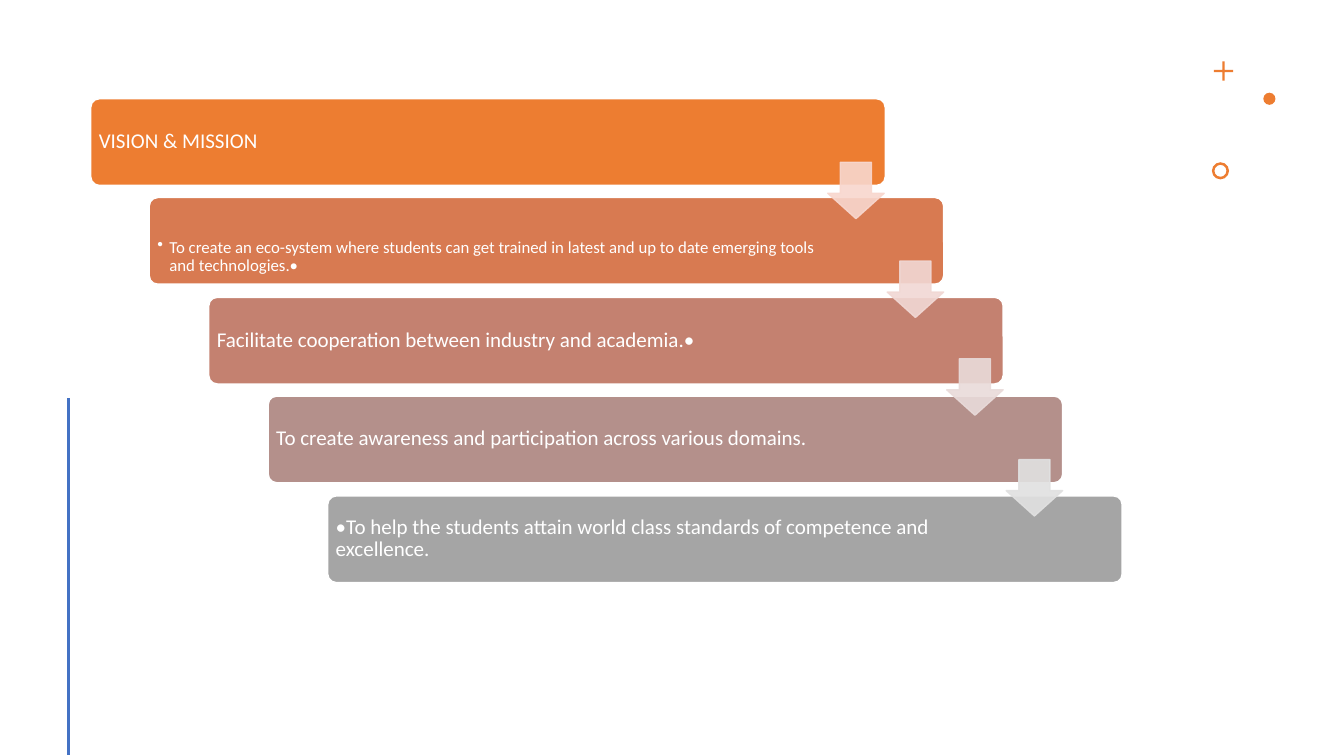
from lxml.etree import SubElement
from pptx import Presentation
from pptx.dml.color import RGBColor as RGB
from pptx.enum.shapes import MSO_CONNECTOR as LINK, MSO_SHAPE as KIND
from pptx.enum.text import MSO_ANCHOR as ANCHOR, MSO_AUTO_SIZE as AUTO, PP_ALIGN as ALIGN
from pptx.oxml.ns import qn
from pptx.util import Emu, Pt

SCALE = 9144
FONT = "Calibri"
COLORS = {"white": "FFFFFF", "accent": "ED7D31", "rule": "4472C4"}
TITLE = "VISION & MISSION"
FILLS = ["ED7D31", "D87A51", "C48170", "B4908B", "A5A5A5"]
GOALS = [
    "To create an eco-system where students can get trained in latest and up to date "
    "emerging tools and technologies.•",
    "Facilitate cooperation between industry and academia.•",
    "To create awareness and participation across various domains.",
    "•To help the students attain world class standards of competence and excellence.",
]
ARROWS = [(161, "F8D7CE"), (259, "F1D8D4"), (356, "E9DBDA"), (456, "E1E1E1")]


def px(*sizes):
    """Turn px lengths into EMU."""
    return [Emu(size * SCALE) for size in sizes]


def add_form(slide, kind, box, fill, line=None, adjust=()):
    """Add a filled preset shape with an optional outline."""
    form = slide.shapes.add_shape(kind, *px(*box))
    form.shadow.inherit = False
    for i, value in enumerate(adjust):
        form.adjustments[i] = value
    form.fill.solid()
    form.fill.fore_color.rgb = RGB.from_string(fill)
    if line:
        form.line.color.rgb = RGB.from_string(line)
        form.line.width = Pt(1)
    else:
        form.line.fill.background()
    return form


def add_arrow(slide, left, top, color):
    """Add a slightly clear down arrow."""
    arrow = add_form(slide, KIND.DOWN_ARROW, (left, top, 56, 56), color, color, (0.45, 0.55))
    arrow.adjustments[0] = 0.55
    arrow.adjustments[1] = 0.45
    for tone in arrow._element.spPr.iter(qn("a:srgbClr")):
        SubElement(tone, qn("a:alpha"), val="90000")


def set_text(shape, text, size=15, anchor=ANCHOR.MIDDLE):
    """Fill a text shape with one white paragraph."""
    frame = shape.text_frame
    frame.text = text
    frame.word_wrap = True
    frame.auto_size = AUTO.NONE
    frame.vertical_anchor = anchor
    frame.margin_left, frame.margin_top, frame.margin_right, frame.margin_bottom = px(6, 6, 6, 6)
    para = frame.paragraphs[0]
    para.alignment = ALIGN.LEFT
    para.line_spacing = 0.9
    for run in para.runs:
        run.font.name = FONT
        run.font.size = Pt(size)
        run.font.color.rgb = RGB.from_string(COLORS["white"])
    return para


def add_bullet(para):
    """Give a paragraph a hanging bullet."""
    props = para._p.get_or_add_pPr()
    props.set("marL", str(12 * SCALE))
    props.set("indent", str(-12 * SCALE))
    SubElement(props, qn("a:buChar"), char="•")


def add_rule(slide):
    """Add the upright rule at the left edge."""
    rule = slide.shapes.add_connector(LINK.STRAIGHT, *px(68, 395, 68, 749))
    rule.line.color.rgb = RGB.from_string(COLORS["rule"])
    rule.line.width = Pt(2)
    SubElement(rule._element.spPr, qn("a:effectLst"))


def add_marks(slide):
    """Add the plus, dot and ring."""
    accent = COLORS["accent"]
    add_form(slide, KIND.CROSS, (1204, 61, 19, 19), accent, adjust=[0.44])
    add_form(slide, KIND.OVAL, (1253, 92, 12, 12), accent)
    add_form(slide, KIND.DONUT, (1202, 161, 17, 17), accent, adjust=[0.15])


def add_steps(slide):
    """Add the staircase of bars with the title on the first."""
    for i, fill in enumerate(FILLS):
        left, top = 90 + i * 235 // 4, 98 + i * 197 // 2
        add_form(slide, KIND.ROUNDED_RECTANGLE, (left, top, 788, 86), fill, COLORS["white"], [0.1])
        box = px(left + 2, top + 2, 668 if i else 684, 81)
        if i == 0:
            title = slide.shapes.title
            title.left, title.top, title.width, title.height = box
            set_text(title, TITLE)
            slide.shapes._spTree.append(title._element)
        elif i == 1:
            area = slide.shapes.add_textbox(*box)
            add_bullet(set_text(area, GOALS[0], 12, ANCHOR.BOTTOM))
        else:
            set_text(slide.shapes.add_textbox(*box), GOALS[i - 1])
    for i, (top, color) in enumerate(ARROWS):
        add_arrow(slide, 821 + 59 * i, top, color)


def main():
    """Build and save the slide."""
    deck = Presentation()
    deck.slide_width, deck.slide_height = px(1333, 750)
    slide = deck.slides.add_slide(deck.slide_layouts[5])
    add_marks(slide)
    add_rule(slide)
    add_steps(slide)
    deck.save("out.pptx")


if __name__ == "__main__":
    main()
